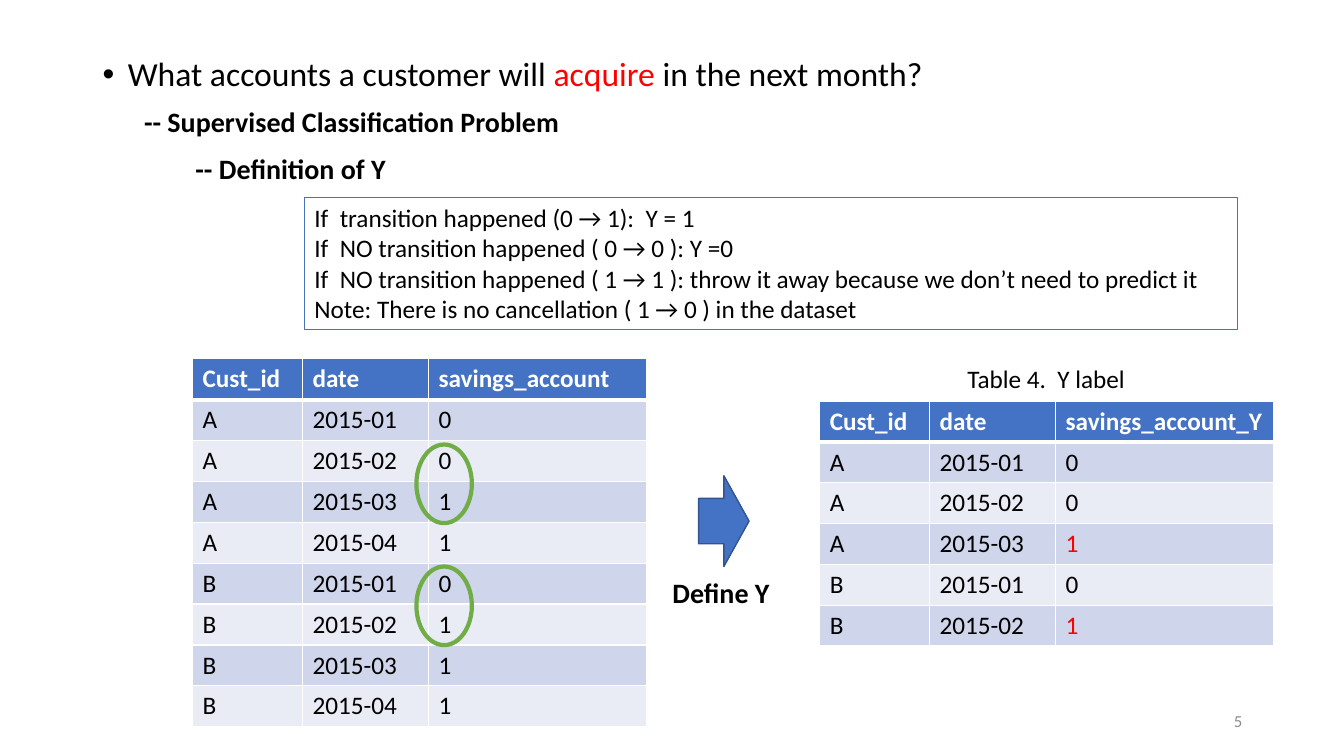
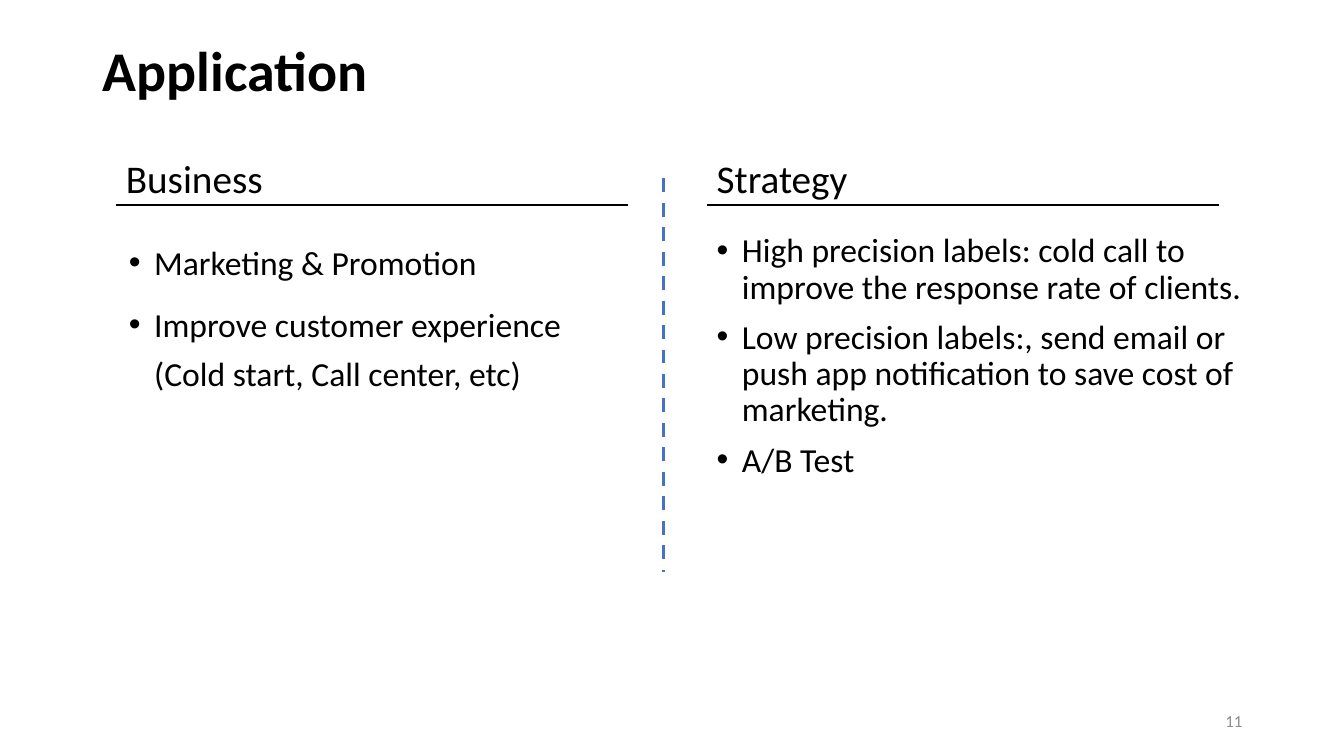
from lxml.etree import SubElement
from pptx import Presentation
from pptx.dml.color import RGBColor
from pptx.enum.dml import MSO_LINE
from pptx.enum.shapes import MSO_CONNECTOR, MSO_SHAPE
from pptx.enum.text import MSO_ANCHOR, PP_ALIGN
from pptx.oxml.ns import qn
from pptx.util import Inches, Pt

COLORS = {
    "black": "000000", "white": "FFFFFF", "red": "FF0000", "blue": "4472C4",
    "edge": "325491", "green": "70AD47", "grey": "8C8C8C",
    "odd": "CFD5EA", "even": "E9EBF5",
}
FONT = "Calibri"

LEAD = [("What accounts a customer will ", "black"), ("acquire", "red"),
        (" in the next month?", "black")]
HEADS = [
    ("-- Supervised Classification Problem", (1.33, 0.99, 4.69, 0.44)),
    ("-- Definition of Y", (1.84, 1.45, 2.2, 0.44)),
    ("Define Y", (6.57, 5.66, 1.22, 0.44)),
]
RULES = [
    "If  transition happened (0 → 1):  Y = 1",
    "If  NO transition happened ( 0 → 0 ): Y =0",
    "If  NO transition happened ( 1 → 1 ): throw it away because we don’t need to predict it",
    "Note: There is no cancellation ( 1 → 0 ) in the dataset",
]
COLS = [1.09, 1.25, 2.16]
SAVINGS = [
    ("Cust_id", "date", "savings_account"),
    ("A", "2015-01", "0"), ("A", "2015-02", "0"),
    ("A", "2015-03", "1"), ("A", "2015-04", "1"),
    ("B", "2015-01", "0"), ("B", "2015-02", "1"),
    ("B", "2015-03", "1"), ("B", "2015-04", "1"),
]
LABELS = [
    ("Cust_id", "date", "savings_account_Y"),
    ("A", "2015-01", "0"), ("A", "2015-02", "0"), ("A", "2015-03", "1"),
    ("B", "2015-01", "0"), ("B", "2015-02", "1"),
]
RING_TOPS = [4.41, 5.62]

PARTS = [
    {"head": "Business", "left": 1.15, "body": (1.18, 2.27, 5.61, 4.12), "space": 1.2,
     "items": ["Marketing & Promotion",
               "Improve customer experience \n(Cold start, Call center, etc)"]},
    {"head": "Strategy", "left": 7.01, "body": (7.01, 2.27, 5.41, 2.67), "space": 0.9,
     "items": ["High precision labels: cold call to improve the response rate of clients.",
               "Low precision labels:, send email or push app notification to save cost of marketing.",
               "A/B Test"]},
]


def color(name):
    return RGBColor.from_string(COLORS[name])


def place(box):
    return [Inches(n) for n in box]


def style(par, size, tint="black", bold=False):
    for run in par.runs:
        font = run.font
        font.name, font.size, font.bold = FONT, Pt(size), bold
        font.color.rgb = color(tint)


def add_text(slide, box, lines, size, tint="black", bold=False,
             align=PP_ALIGN.LEFT, anchor=MSO_ANCHOR.TOP, wrap=True):
    shape = slide.shapes.add_textbox(*place(box))
    frame = shape.text_frame
    frame.word_wrap, frame.vertical_anchor = wrap, anchor
    for i, line in enumerate(lines):
        par = frame.add_paragraph() if i else frame.paragraphs[0]
        par.text = line
        par.alignment = align
        style(par, size, tint, bold)
    return shape


def add_bullets(shape, space):
    for i, par in enumerate(shape.text_frame.paragraphs):
        props = par._p.get_or_add_pPr()
        props.set("marL", str(Inches(0.25)))
        props.set("indent", str(Inches(-0.25)))
        SubElement(props, qn("a:buFont"), typeface="Arial")
        SubElement(props, qn("a:buChar"), char="•")
        par.line_spacing = space
        if i:
            par.space_before = Pt(10)


def add_line(slide, start, end, tint, width, dash=None):
    line = slide.shapes.add_connector(MSO_CONNECTOR.STRAIGHT, *place(start + end))
    line.line.color.rgb = color(tint)
    line.line.width = Pt(width)
    if dash:
        line.line.dash_style = dash
    SubElement(line._element.spPr, qn("a:effectLst"))


def add_shape(slide, kind, box, edge, width, fill=None):
    shape = slide.shapes.add_shape(kind, *place(box))
    shape.shadow.inherit = False
    shape.line.color.rgb = color(edge)
    shape.line.width = Pt(width)
    if fill:
        shape.fill.solid()
        shape.fill.fore_color.rgb = color(fill)
    else:
        shape.fill.background()


def add_borders(cell, row):
    props = cell._tc.get_or_add_tcPr()
    for side in "LRTB":
        thick = (row, side) in ((0, "B"), (1, "T"))
        line = SubElement(props, qn("a:ln" + side), w=str(Pt(3 if thick else 1)))
        fill = SubElement(line, qn("a:solidFill"))
        SubElement(fill, qn("a:srgbClr"), val=COLORS["white"])


def add_grid(slide, left, top, height, rows, mark="black"):
    box = (left, top, sum(COLS), height)
    grid = slide.shapes.add_table(len(rows), len(COLS), *place(box)).table
    for col, width in zip(grid.columns, COLS):
        col.width = Inches(width)
    for r, row in enumerate(rows):
        for c, text in enumerate(row):
            cell = grid.cell(r, c)
            cell.text_frame.text = text
            tint = "white" if r == 0 else mark if text == "1" else "black"
            style(cell.text_frame.paragraphs[0], 18, tint, r == 0)
            add_borders(cell, r)
            cell.fill.solid()
            cell.fill.fore_color.rgb = color("blue" if r == 0 else "odd" if r % 2 else "even")


def new_slide(deck, number):
    slide = deck.slides.add_slide(deck.slide_layouts[6])
    add_text(slide, (9.42, 6.95, 3, 0.4), [number], 12, "grey",
             align=PP_ALIGN.RIGHT, anchor=MSO_ANCHOR.MIDDLE)
    return slide


def build_labels(deck):
    slide = new_slide(deck, "5")
    lead = add_text(slide, (0.92, 0.52, 10.86, 0.5), [""], 24)
    par = lead.text_frame.paragraphs[0]
    for text, tint in LEAD:
        run = par.add_run()
        run.text = text
    style(par, 24)
    for run, (text, tint) in zip(par.runs, LEAD):
        run.font.color.rgb = color(tint)
    add_bullets(lead, 0.9)
    for text, box in HEADS:
        add_text(slide, box, [text], 20, bold=True)
    rules = add_text(slide, (3.02, 1.96, 9.25, 1.31), RULES, 18)
    rules.line.color.rgb = color("blue")
    rules.line.width = Pt(0.75)
    add_grid(slide, 1.91, 3.56, 3.65, SAVINGS)
    add_text(slide, (8.13, 3.56, 4.49, 0.4), ["Table 4.  Y label"], 18, align=PP_ALIGN.CENTER)
    add_grid(slide, 8.13, 3.98, 2.43, LABELS, "red")
    for top in RING_TOPS:
        add_shape(slide, MSO_SHAPE.OVAL, (4.13, top, 0.55, 0.78), "green", 3)
    add_shape(slide, MSO_SHAPE.RIGHT_ARROW, (6.93, 4.72, 0.5, 0.9), "edge", 1, "blue")


def build_uses(deck):
    slide = new_slide(deck, "11")
    title = add_text(slide, (0.92, 0, 5.61, 1.45), ["Application"], 40, bold=True,
                     anchor=MSO_ANCHOR.MIDDLE)
    title.text_frame.paragraphs[0].line_spacing = 0.9
    for part in PARTS:
        left = part["left"]
        add_text(slide, (left, 1.48, 1.6, 0.57), [part["head"]], 28, wrap=False)
        add_line(slide, (left, 2.03), (left + 5.08, 2.03), "black", 1.5)
        body = add_text(slide, part["body"], part["items"], 24)
        add_bullets(body, part["space"])
    add_line(slide, (6.58, 1.77), (6.58, 5.67), "blue", 2.5, MSO_LINE.DASH)


def main():
    deck = Presentation()
    deck.slide_width, deck.slide_height = Inches(13.33), Inches(7.5)
    build_labels(deck)
    build_uses(deck)
    deck.save("out.pptx")


if __name__ == "__main__":
    main()
